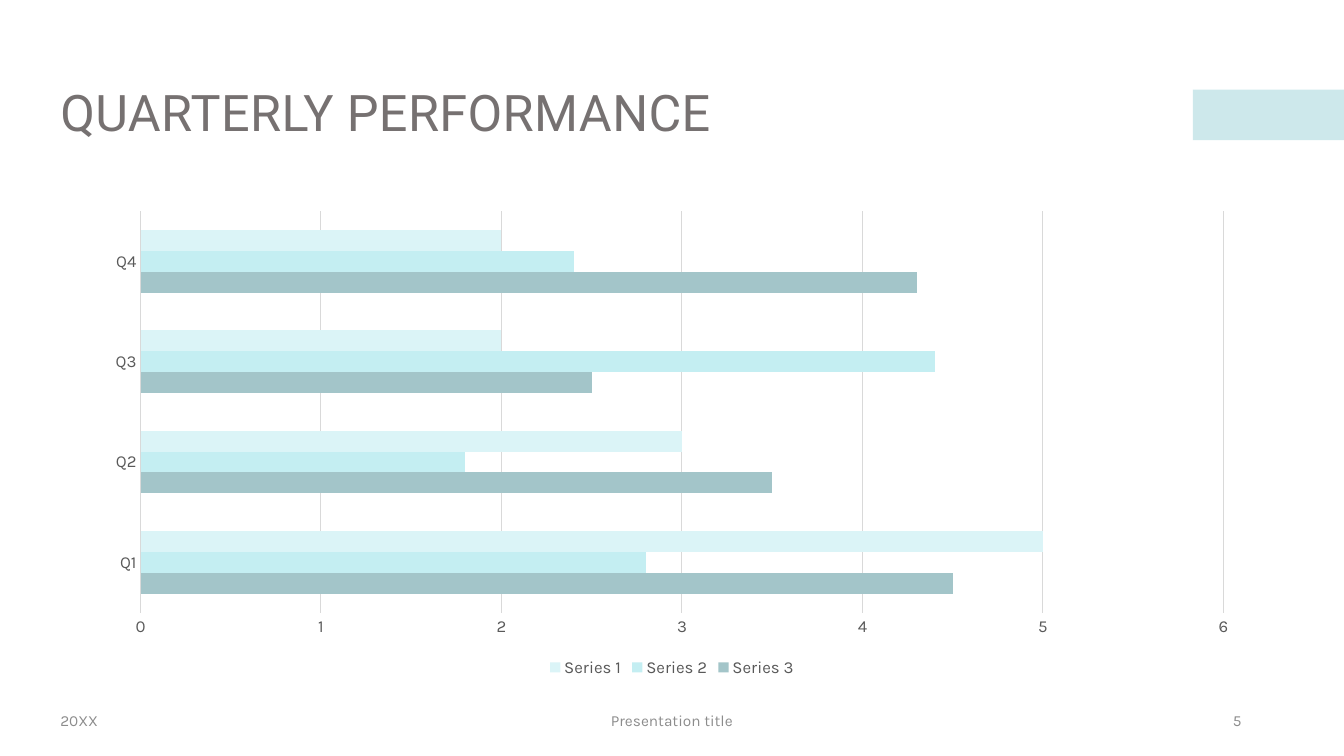
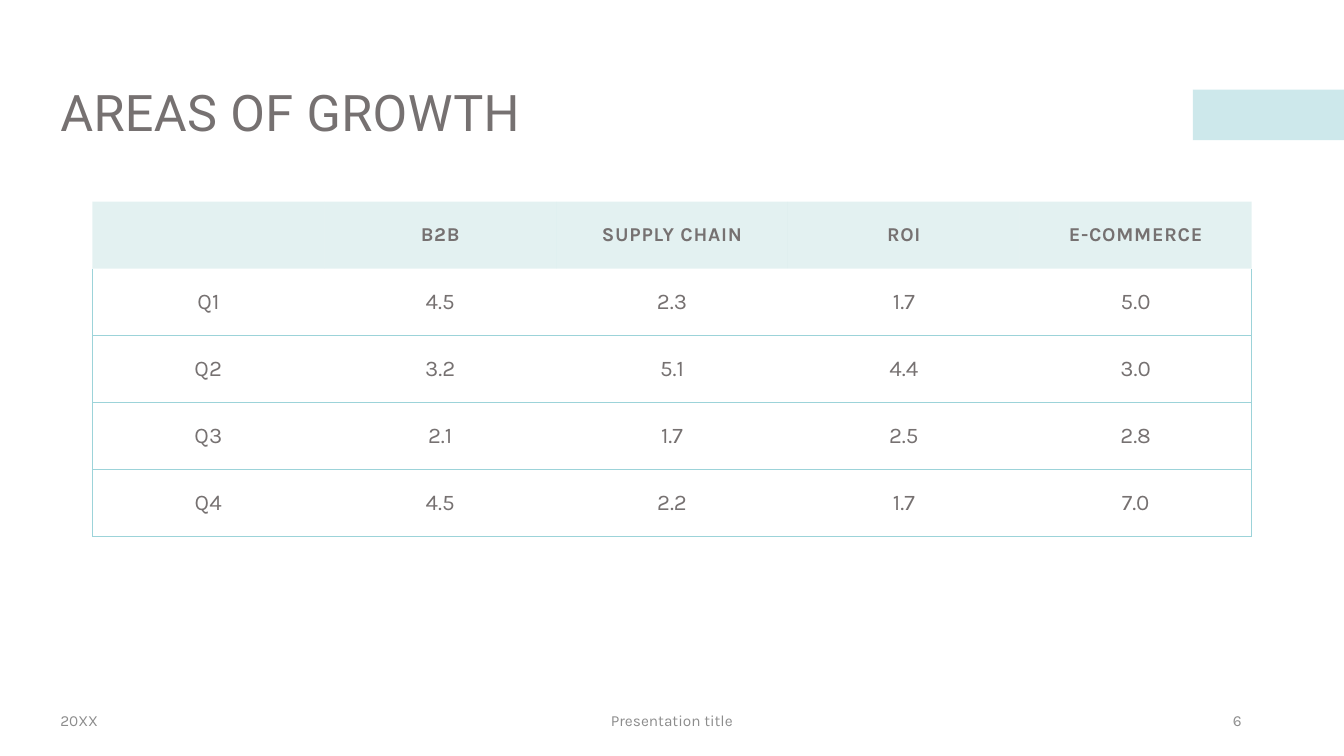
"""Builds a quarterly bar chart slide and a growth table slide."""
from lxml import etree
from pptx import Presentation
from pptx.chart.data import CategoryChartData
from pptx.dml.color import RGBColor
from pptx.enum.chart import XL_CHART_TYPE, XL_LEGEND_POSITION, XL_TICK_MARK
from pptx.enum.shapes import MSO_SHAPE
from pptx.enum.text import MSO_ANCHOR, PP_ALIGN
from pptx.oxml.ns import qn
from pptx.util import Cm, Pt

RECT = MSO_SHAPE.RECTANGLE
BARS = XL_CHART_TYPE.BAR_CLUSTERED
BOTTOM = XL_LEGEND_POSITION.BOTTOM
NO_TICK = XL_TICK_MARK.NONE
MIDDLE = MSO_ANCHOR.MIDDLE
LEFT, CENTER, RIGHT = PP_ALIGN.LEFT, PP_ALIGN.CENTER, PP_ALIGN.RIGHT
NO_STYLE = "{2D5ABB26-0587-4C30-8999-92F81FD0307C}"


class Theme:
    head, body = "Roboto", "Karla"
    text, foot, label = "767171", "8C8C8C", "595959"
    accent, band, grid = "9CD3D9", "76BCBC", "D9D9D9"
    series = ["A3C5C9", "C4EEF2", "DBF4F7"]
    title_pt, cell_pt, top_pt, label_pt, foot_pt = 36, 16, 14, 12, 11


def write(frame, text, size, color, align=LEFT, face=Theme.body, bold=False, gap=0):
    """Add one run to the first paragraph of a text frame."""
    para = frame.paragraphs[0]
    para.alignment = align
    run = para.add_run()
    run.text = text
    font = run.font
    font.name, font.size, font.bold = face, Pt(size), bold
    font.color.rgb = RGBColor.from_string(color)
    if gap:
        run._r.get_or_add_rPr().set("spc", str(gap))
    return para


def tint(fill, node, color, alpha):
    """Fill with a partly transparent colour."""
    fill.solid()
    fill.fore_color.rgb = RGBColor.from_string(color)
    tone = next(node.iter(qn("a:srgbClr")))
    etree.SubElement(tone, qn("a:alpha")).set("val", str(alpha * 1000))


deck = Presentation()
deck.slide_width, deck.slide_height = Cm(33.87), Cm(19.05)
slides = []
for page, title in enumerate(["QUARTERLY PERFORMANCE", "AREAS OF GROWTH"], 5):
    slide = deck.slides.add_slide(deck.slide_layouts[6])
    slides.append(slide)
    bar = slide.shapes.add_shape(RECT, Cm(30.06), Cm(2.26), Cm(3.81), Cm(1.27))
    bar.shadow.inherit = False
    bar.line.fill.background()
    tint(bar.fill, bar.element.spPr, Theme.accent, 50)

    frame = slide.shapes.add_textbox(Cm(1.27), Cm(1.07), Cm(31.32), Cm(3.68)).text_frame
    frame.word_wrap, frame.vertical_anchor = True, MIDDLE
    para = write(frame, title, Theme.title_pt, Theme.text, face=Theme.head, gap=30)
    para.line_spacing = 0.9

    for left, width, text, align in [
        (1.27, 7.62, "20XX", LEFT),
        (11.22, 11.43, "Presentation title", CENTER),
        (23.92, 7.62, str(page), RIGHT),
    ]:
        frame = slide.shapes.add_textbox(Cm(left), Cm(17.65), Cm(width), Cm(1.02)).text_frame
        frame.word_wrap, frame.vertical_anchor = True, MIDDLE
        write(frame, text, Theme.foot_pt, Theme.foot, align)

data = CategoryChartData()
data.categories = ["Q1", "Q2", "Q3", "Q4"]
data.add_series("Series 3", [4.5, 2.5 + 1, 2.5, 4.3])
data.add_series("Series 2", [2.8, 1.8, 4.4, 2.4])
data.add_series("Series 1", [5, 3, 2, 2])
chart = slides[0].shapes.add_chart(
    BARS, Cm(2.33), Cm(5.08), Cm(29.21), Cm(12.09), data).chart
chart.has_title = False
chart.font.name, chart.font.size = Theme.body, Pt(Theme.label_pt)
chart.font.color.rgb = RGBColor.from_string(Theme.label)
chart.has_legend = True
chart.legend.position = BOTTOM
chart.legend.include_in_layout = False
plot = chart.plots[0]
plot.gap_width, plot.vary_by_categories = 182, False
for series, color in zip(plot.series, Theme.series):
    series.format.fill.solid()
    series.format.fill.fore_color.rgb = RGBColor.from_string(color)

cats, vals = chart.category_axis, chart.value_axis
for axis in (cats, vals):
    axis.major_tick_mark = axis.minor_tick_mark = NO_TICK
vals.minimum_scale, vals.maximum_scale, vals.major_unit = 0, 6, 1
vals.has_major_gridlines = True
vals.format.line.fill.background()
for line in (cats.format.line, vals.major_gridlines.format.line):
    line.width = Pt(0.75)
    line.color.rgb = RGBColor.from_string(Theme.grid)

rows = [
    ["", "B2B", "SUPPLY CHAIN", "ROI", "E-COMMERCE"],
    ["Q1", "4.5", "2.3", "1.7", "5.0"],
    ["Q2", "3.2", "5.1", "4.4", "3.0"],
    ["Q3", "2.1", "1.7", "2.5", "2.8"],
    ["Q4", "4.5", "2.2", "1.7", "7.0"],
]
last = len(rows[0]) - 1
table = slides[1].shapes.add_table(
    len(rows), last + 1, Cm(2.33), Cm(5.08), Cm(29.21), Cm(8.43)).table
table.horz_banding = False
next(table._tbl.iter(qn("a:tableStyleId"))).text = NO_STYLE
for r, row in enumerate(rows):
    for c, text in enumerate(row):
        cell = table.cell(r, c)
        cell.vertical_anchor = MIDDLE
        props = cell._tc.get_or_add_tcPr()
        if r == 0:
            tint(cell.fill, props, Theme.band, 20)
            if text:
                write(cell.text_frame, text, Theme.top_pt, Theme.text, CENTER, bold=True, gap=50)
            continue
        cell.fill.background()
        write(cell.text_frame, text, Theme.cell_pt, Theme.text, CENTER, gap=0 if c else 20)
        sides = ["lnL"] * (c == 0) + ["lnR"] * (c == last) + ["lnB"]
        for spot, side in enumerate(sides):
            edge = etree.Element(qn("a:" + side), w=str(Pt(0.5)))
            fill = etree.SubElement(edge, qn("a:solidFill"))
            etree.SubElement(fill, qn("a:srgbClr"), val=Theme.accent)
            props.insert(spot, edge)

deck.save("out.pptx")
